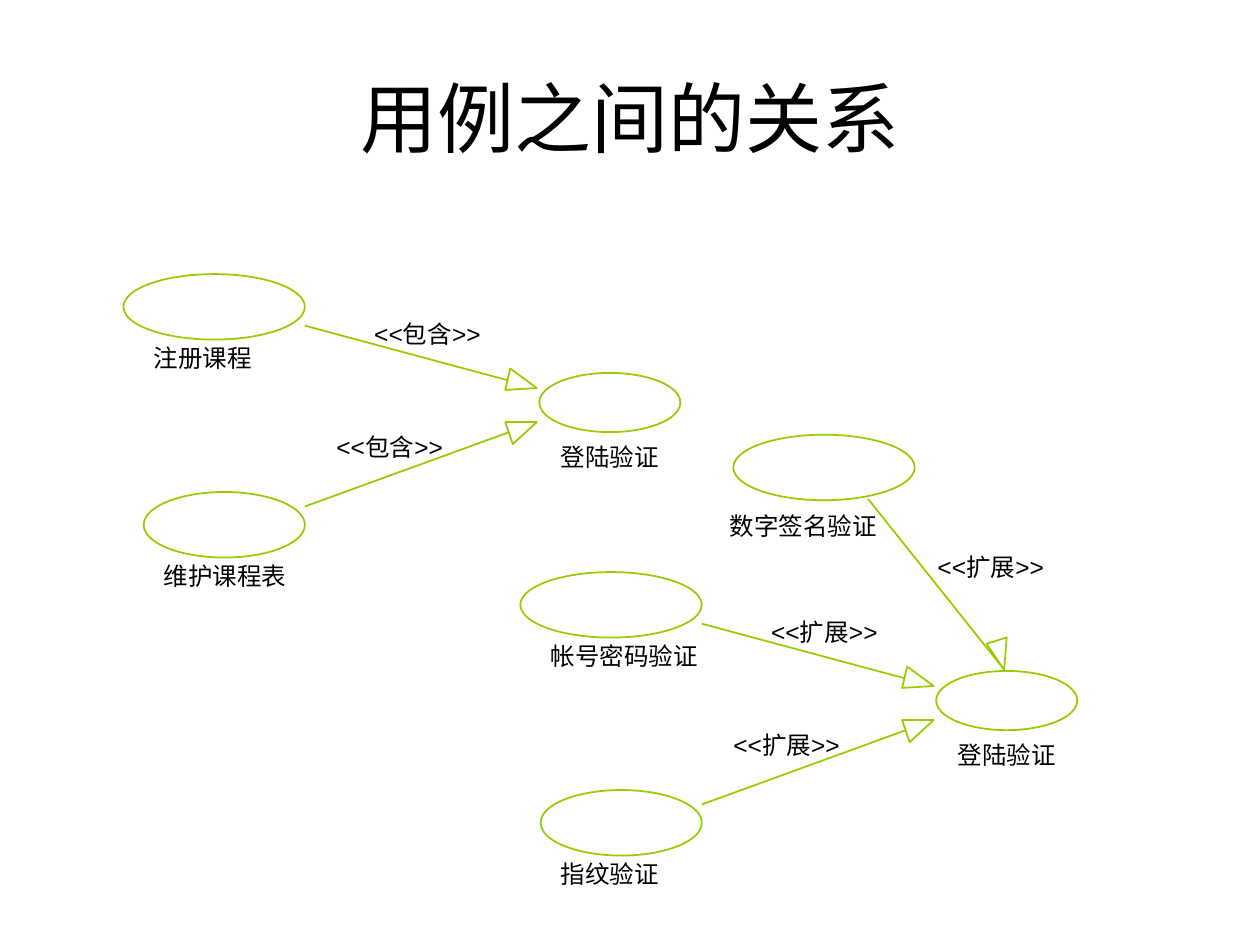
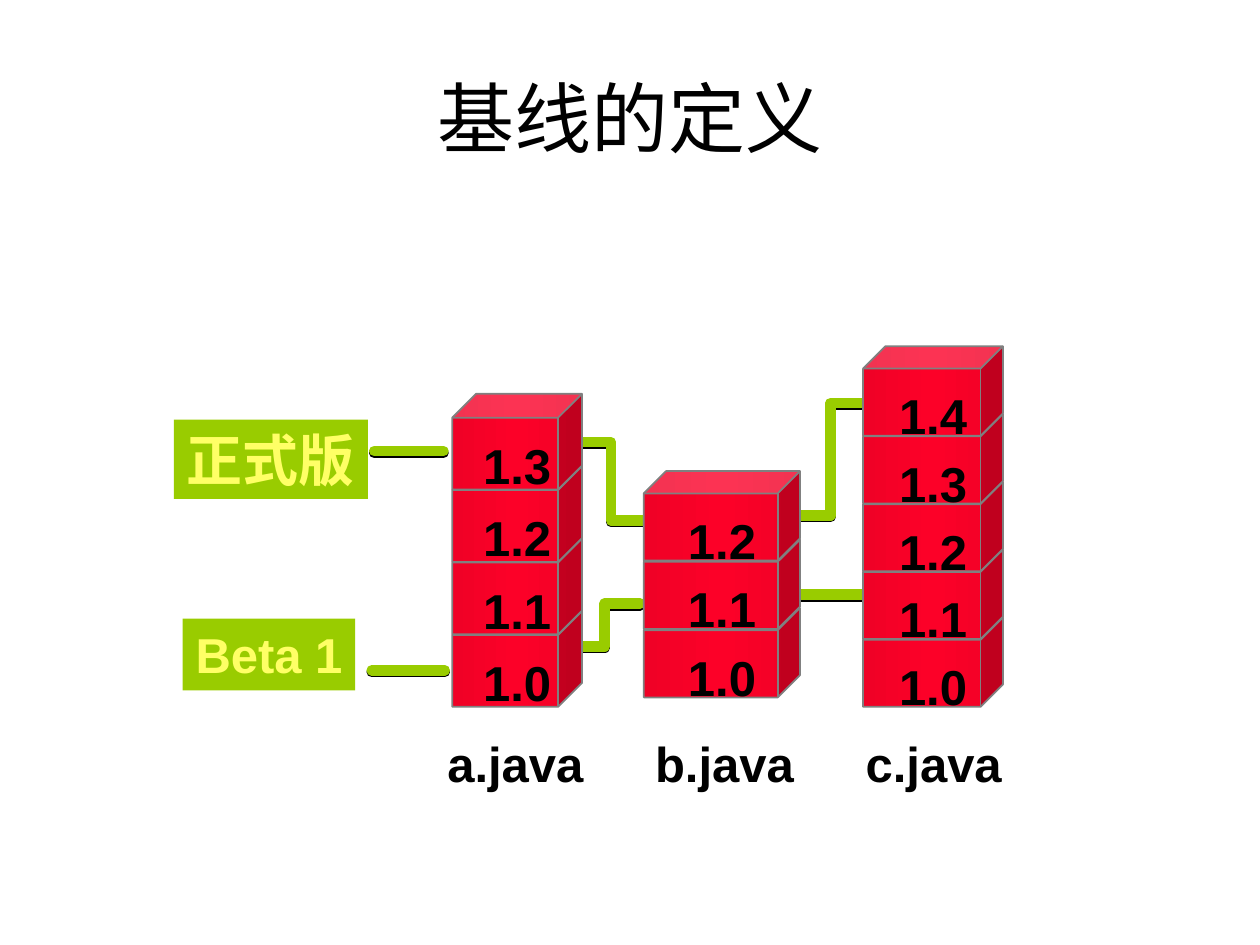
from copy import deepcopy
from dataclasses import dataclass

from lxml import etree
from pptx import Presentation
from pptx.dml.color import RGBColor
from pptx.enum.shapes import MSO_CONNECTOR, MSO_SHAPE
from pptx.enum.text import MSO_ANCHOR, MSO_AUTO_SIZE, PP_ALIGN
from pptx.oxml.ns import qn
from pptx.util import Inches, Pt

BLACK = RGBColor(0x00, 0x00, 0x00)
WHITE = RGBColor(0xFF, 0xFF, 0xFF)
LIME = RGBColor(0x99, 0xCC, 0x00)
LEMON = RGBColor(0xFF, 0xFF, 0x66)
GREY = RGBColor(0x80, 0x80, 0x80)
RED = RGBColor(0xFC, 0x01, 0x28)
EDGE = RGBColor(0xF0, 0x01, 0x26)

OVAL, CUBE = MSO_SHAPE.OVAL, MSO_SHAPE.CUBE
STRAIGHT = MSO_CONNECTOR.STRAIGHT
LEFT, CENTER = PP_ALIGN.LEFT, PP_ALIGN.CENTER
MIDDLE, TOP = MSO_ANCHOR.MIDDLE, MSO_ANCHOR.TOP
FIXED = MSO_AUTO_SIZE.NONE

WIDTH, HEIGHT = Inches(10), Inches(7.5)
COLS, ROWS = 100, 75
TITLE_ONLY = 5

TITLE = {"name": "Arial", "size": Pt(44)}
SMALL = {"name": "Arial", "size": Pt(14)}
BOLD = {"name": "Arial", "size": Pt(28), "bold": True}
LARGE = {**BOLD, "size": Pt(32)}
FLUSH = dict.fromkeys(
    ("margin_left", "margin_top", "margin_right", "margin_bottom"), 0)
GLYPH = 1.96


@dataclass
class Area:
    shapes: object
    left: float = 0
    top: float = 0

    def point(self, x, y):
        return (round((self.left + x) * WIDTH / COLS),
                round((self.top + y) * HEIGHT / ROWS))

    def box(self, x, y, wide, high):
        return (*self.point(x, y), round(wide * WIDTH / COLS),
                round(high * HEIGHT / ROWS))


def apply(target, values):
    for key, value in values.items():
        setattr(target, key, value)


def write(shape, text, font, color=BLACK, align=CENTER, frame=None):
    body = shape.text_frame
    apply(body, {"auto_size": FIXED, "word_wrap": False, **(frame or {})})
    par = body.paragraphs[0]
    par.text = text
    par.alignment = align
    apply(par.runs[0].font, font)
    par.runs[0].font.color.rgb = color


def label(area, box, text, font, color=BLACK, align=CENTER, frame=None):
    shape = area.shapes.add_textbox(*area.box(*box))
    write(shape, text, font, color, align, {"vertical_anchor": TOP, **(frame or {})})
    return shape


def stroke(shape, color=LIME, width=1):
    shape.line.color.rgb = color
    shape.line.width = Pt(width)


def effects(shape):
    props = shape._element.spPr
    for old in props.findall(qn("a:effectLst")):
        props.remove(old)
    return etree.SubElement(props, qn("a:effectLst"))


def line(area, start, end):
    shape = area.shapes.add_connector(
        STRAIGHT, *area.point(*start), *area.point(*end))
    stroke(shape)
    effects(shape)
    return shape


def outline(area, points, close):
    first, *rest = [area.point(*p) for p in points]
    path = area.shapes.build_freeform(*first)
    path.add_line_segments(rest, close=close)
    shape = path.convert_to_shape()
    shape.shadow.inherit = False
    return shape


def oval(area, *box):
    shape = area.shapes.add_shape(OVAL, *area.box(*box))
    shape.shadow.inherit = False
    shape.fill.background()
    stroke(shape)


def arrow(area, start, tip, wings):
    line(area, start, tip)
    head = outline(area, [tip, *wings], True)
    head.fill.solid()
    head.fill.fore_color.rgb = WHITE
    stroke(head)


def name(area, x, y, text):
    label(area, (x, y, len(text) * GLYPH, 2.3), text, SMALL, align=LEFT, frame=FLUSH)


def tag(area, x, y, text):
    label(area, (x, y, 8.5, 2.3), text, SMALL, align=LEFT,
          frame={**FLUSH, "word_wrap": True})


def merge(area, upper, lower, goal, link):
    oval(area, 0, 0, 14.4, 5.2)
    name(area, 2.4, 5.5, upper)
    tag(area, 19.9, 3.6, link)
    arrow(area, (14.4, 4.1), (32.8, 9.05), [(30.7, 7.5), (30.3, 9.2)])
    oval(area, 33, 7.85, 11.2, 4.7)
    name(area, 34.7, 13.3, goal)
    tag(area, 16.9, 12.55, link)
    arrow(area, (14.4, 18.45), (32.8, 11.75), [(30.9, 13.5), (30.3, 11.75)])
    oval(area, 1.6, 17.3, 12.8, 5.2)
    name(area, 3.2, 22.8, lower)


def branch(area, text, link):
    oval(area, 0, 0, 14.4, 5.2)
    name(area, -0.3, 6.1, text)
    tag(area, 16.2, 9.3, link)
    arrow(area, (10.7, 5.1), (21.5, 18.65), [(21.7, 16.1), (20.1, 16.6)])


def route(area, points):
    if len(points) == 2:
        shape = line(area, *points)
    else:
        shape = outline(area, points, False)
        shape.fill.background()
    stroke(shape, width=6)
    edge = shape._element.spPr.find(qn("a:ln"))
    edge.set("cap", "rnd")
    etree.SubElement(edge, qn("a:round"))
    shade = etree.SubElement(effects(shape), qn("a:outerShdw"),
                             dist=str(Pt(1)), dir="5400000", rotWithShape="0")
    etree.SubElement(shade, qn("a:srgbClr"), val=str(BLACK))


def cube(area, *box):
    shape = area.shapes.add_shape(CUBE, *area.box(*box))
    shape.shadow.inherit = False
    shape.fill.gradient()
    shape.fill.gradient_angle = 0
    stops = shape._element.spPr.find(".//" + qn("a:gsLst"))
    stops.insert(1, deepcopy(stops[0]))
    for stop, place, color in zip(shape.fill.gradient_stops, (0, 0.5, 1), (EDGE, RED, EDGE)):
        stop.position = place
        stop.color.rgb = color
    stroke(shape, GREY)


def stack(area, wide, high, step, count):
    for level in range(count):
        y = -high - level * step
        cube(area, 0, y, wide, high)
        label(area, (wide / 2 - 3.6, y + 0.37 * high, 7.2, 5.6), f"1.{level}", BOLD)


def badge(area, box, text, font):
    shape = label(area, box, text, font, LEMON)
    shape.fill.solid()
    shape.fill.fore_color.rgb = LIME


def start(deck, text):
    slide = deck.slides.add_slide(deck.slide_layouts[TITLE_ONLY])
    head = slide.shapes.title
    apply(head, dict(zip(("left", "top", "width", "height"),
                         Area(slide.shapes).box(5, 3, 90, 12.5))))
    write(head, text, TITLE, frame={"vertical_anchor": MIDDLE, "word_wrap": True})
    return slide


def cases(deck):
    slide = start(deck, "用例之间的关系")
    first, second = (slide.shapes.add_group_shape().shapes for _ in range(2))
    merge(Area(first, 9.8, 21.75), "注册课程", "维护课程表", "登陆验证", "<<包含>>")
    merge(Area(second, 41.3, 45.4), "帐号密码验证", "指纹验证", "登陆验证", "<<扩展>>")
    branch(Area(second, 58.2, 34.5), "数字签名验证", "<<扩展>>")


def bases(deck):
    slide = start(deck, "基线的定义")
    page = Area(slide.shapes)
    for x, text in ((34.5, "a.java"), (51.1, "b.java"), (67.7, "c.java")):
        label(page, (x, 57.7, 12.8, 5.7), text, BOLD)
    badge(page, (13.8, 33.3, 15.4, 6.3), "正式版", LARGE)
    badge(page, (14.5, 49.1, 13.7, 5.7), "Beta 1", BOLD)
    for points in (
        [(29.7, 35.8), (35.2, 35.8)],
        [(51.1, 41.3), (48.5, 41.3), (48.5, 35.1), (45.6, 35.1)],
        [(63.2, 40.9), (65.9, 40.9), (65.9, 32), (68.9, 32)],
        [(29.5, 53.2), (35.3, 53.2)],
        [(45.6, 51.3), (48, 51.3), (48, 47.9), (50.8, 47.9)],
        [(62.9, 47.2), (68.5, 47.2)],
    ):
        route(page, points)
    for x, base, *sizes in (
        (35.9, 56.1, 10.3, 7.6, 5.75, 4),
        (51.1, 55.35, 12.4, 7.1, 5.43, 3),
        (68.5, 56.1, 11.1, 7.1, 5.38, 5),
    ):
        stack(Area(slide.shapes.add_group_shape().shapes, x, base), *sizes)


def main():
    deck = Presentation()
    deck.slide_width, deck.slide_height = WIDTH, HEIGHT
    cases(deck)
    bases(deck)
    deck.save("out.pptx")


if __name__ == "__main__":
    main()
